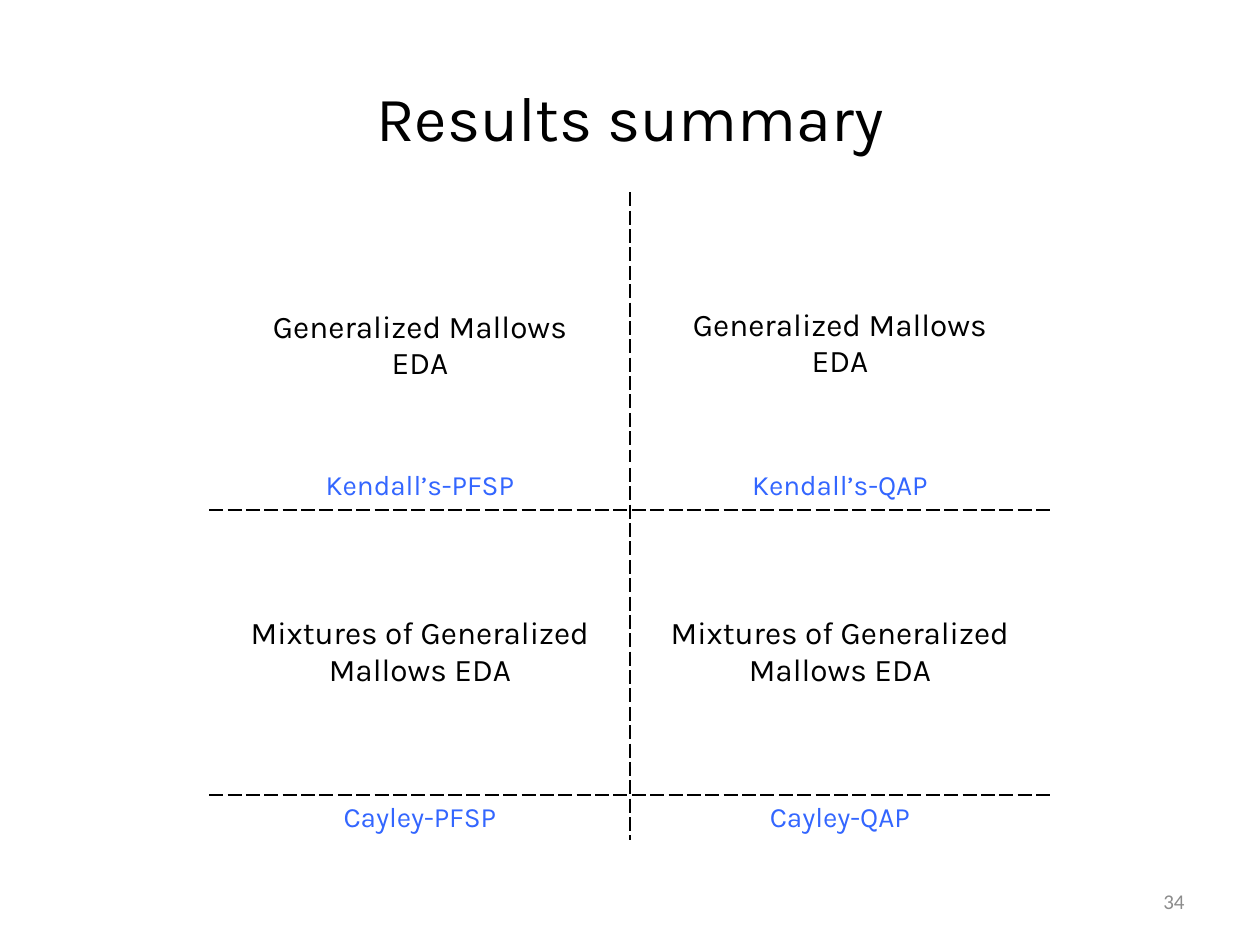
"""Build the results summary slide with its two-by-two comparison table."""
from lxml.etree import SubElement
from pptx import Presentation
from pptx.dml.color import RGBColor
from pptx.enum.text import MSO_ANCHOR as ANCHOR, PP_ALIGN as ALIGN
from pptx.oxml.ns import qn
from pptx.util import Emu, Pt

BLACK = RGBColor(0x00, 0x00, 0x00)
BLUE = RGBColor(0x33, 0x66, 0xFF)
GREY = RGBColor(0x8C, 0x8C, 0x8C)

TEXTS = [
    (("Results summary",), (63, 38, 1134, 157), "Karla", 36, BLACK, ALIGN.CENTER),
    (("34",), (903, 876, 294, 50), "Calibri", 12, GREY, ALIGN.RIGHT),
]
MALLOWS = ("Generalized Mallows", "EDA")
MIXTURES = ("Mixtures of Generalized Mallows EDA",)
# height, size, colour, dashed horizontal edge, cells as (lines, top margin)
ROWS = [
    (270, 18, BLACK, "", [(MALLOWS, 42), (MALLOWS, 38)]),
    (47, 16, BLUE, "B", [(("Kendall’s-PFSP",), 6), (("Kendall’s-QAP",), 6)]),
    (285, 18, BLACK, "TB", [(MIXTURES, 6), (MIXTURES, 6)]),
    (46, 16, BLUE, "T", [(("Cayley-PFSP",), 6), (("Cayley-QAP",), 6)]),
]
TABLE_LEFT, TABLE_TOP, COL_WIDTH = 210, 193, 420


def px(n):
    return Emu(round(n * 914400 / 126))


def write(tf, lines, font, size, color, align):
    tf.word_wrap = True
    for i, line in enumerate(lines):
        p = tf.paragraphs[0] if i == 0 else tf.add_paragraph()
        p.text = line
        p.alignment = align
        p.font.name, p.font.size = font, Pt(size)
        p.font.color.rgb = color


def add_borders(cell, edges):
    tc_pr = cell._tc.get_or_add_tcPr()
    for edge in "LRTB":
        if edge in edges:
            ln = SubElement(tc_pr, qn(f"a:ln{edge}"), w=str(Pt(1)))
            fill = SubElement(ln, qn("a:solidFill"))
            SubElement(fill, qn("a:srgbClr"), val=str(BLACK))
            SubElement(ln, qn("a:prstDash"), val="sysDash")


def add_table(s):
    height = sum(row[0] for row in ROWS)
    table = s.shapes.add_table(len(ROWS), 2, px(TABLE_LEFT), px(TABLE_TOP),
                               px(2 * COL_WIDTH), px(height)).table
    table.first_row = table.horz_banding = False
    for r, (height, size, color, edges, cells) in enumerate(ROWS):
        table.rows[r].height = px(height)
        for c, (lines, top) in enumerate(cells):
            cell = table.cell(r, c)
            cell.vertical_anchor = ANCHOR.MIDDLE
            cell.margin_top, cell.margin_bottom = px(top), px(6)
            write(cell.text_frame, lines, "Karla", size, color, ALIGN.CENTER)
            add_borders(cell, "RL"[c] + edges)
            cell.fill.background()


def main():
    prs = Presentation()
    prs.slide_width, prs.slide_height = px(1260), px(945)
    s = prs.slides.add_slide(prs.slide_layouts[6])
    for lines, box, *style in TEXTS:
        tf = s.shapes.add_textbox(*map(px, box)).text_frame
        tf.vertical_anchor = ANCHOR.MIDDLE
        write(tf, lines, *style)
    add_table(s)
    prs.save("out.pptx")


if __name__ == "__main__":
    main()
